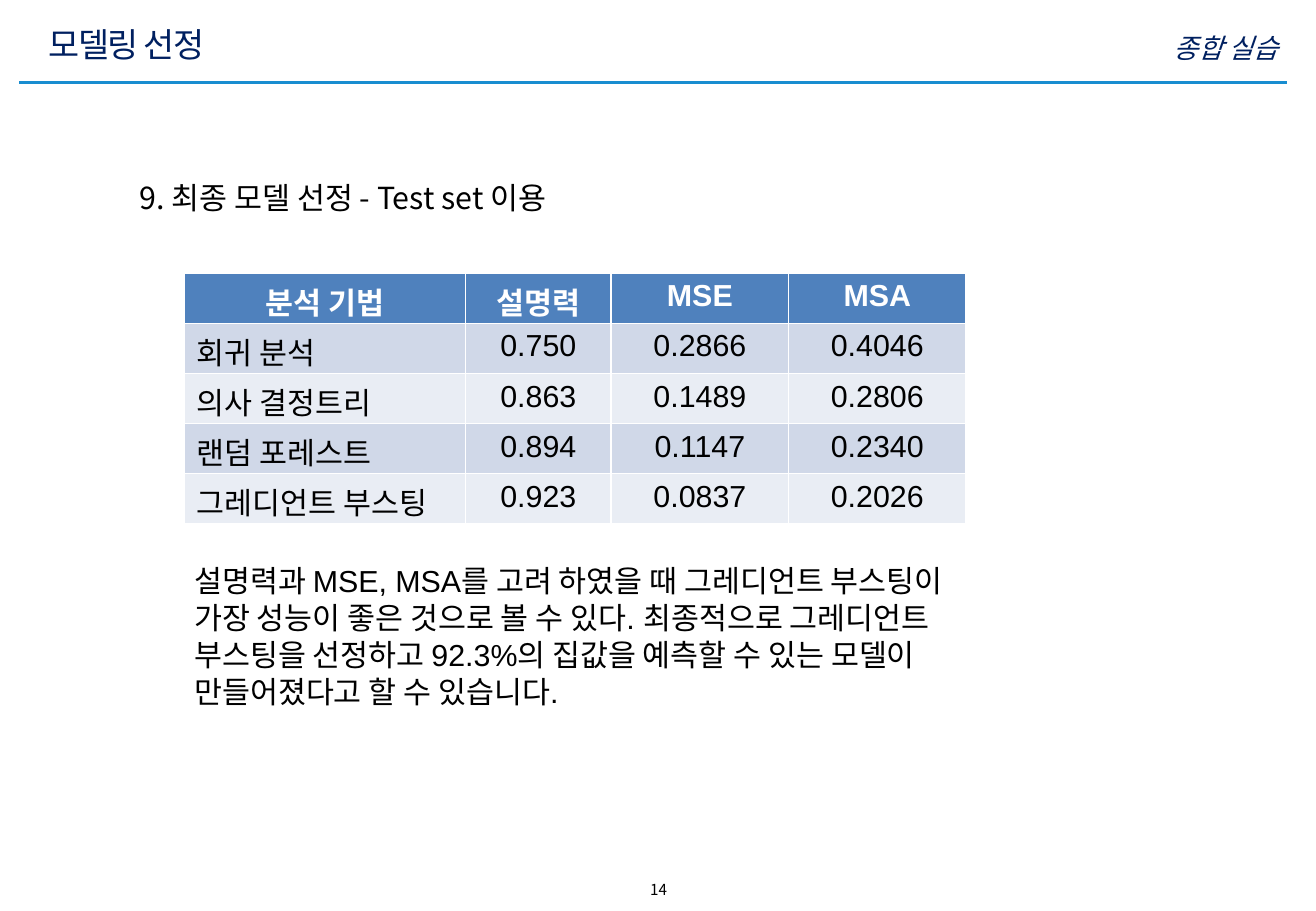
from dataclasses import dataclass

from lxml.etree import SubElement
from pptx import Presentation
from pptx.dml.color import RGBColor
from pptx.enum.shapes import MSO_CONNECTOR as Connector
from pptx.enum.text import MSO_ANCHOR as Anchor, MSO_AUTO_SIZE as AutoSize, PP_ALIGN as Align
from pptx.oxml.ns import qn
from pptx.util import Pt

PX = 9144  # EMU per px, 100 px to the inch


@dataclass(frozen=True)
class Theme:
    latin: str = "Arial"
    korean: str = "Noto Sans CJK KR"
    navy: str = "002060"
    rule: str = "188DD0"
    black: str = "000000"
    white: str = "FFFFFF"
    header_fill: str = "4F81BD"
    bands: tuple = ("D0D8E8", "E9EDF4")
    title_size: int = 20
    body_size: int = 18
    section_size: int = 16
    number_size: int = 9


theme = Theme()


def px(*lengths):
    return [length * PX for length in lengths]


def write(frame, text, size=theme.body_size, font=theme.korean, color=theme.black,
          align=Align.LEFT, anchor=Anchor.TOP, bold=False, italic=False,
          line_spacing=1.0, tracking=0):
    """Fill a text frame with one formatted paragraph; tracking is in 1/100 pt."""
    frame.word_wrap = True
    frame.auto_size = AutoSize.NONE
    frame.vertical_anchor = anchor
    paragraph = frame.paragraphs[0]
    paragraph.alignment = align
    paragraph.line_spacing = line_spacing
    run = paragraph.add_run()
    run.text = text
    run.font.size = Pt(size)
    run.font.name = font
    run.font.bold = bold
    run.font.italic = italic
    run.font.color.rgb = RGBColor.from_string(color)
    properties = run.font._element
    properties.set("spc", str(tracking))
    SubElement(properties, qn("a:ea")).set("typeface", theme.korean)


prs = Presentation()
prs.slide_width, prs.slide_height = px(1083, 750)
slide = prs.slides.add_slide(prs.slide_layouts[5])
shapes = slide.shapes

# Header
header_rule = shapes.add_connector(Connector.STRAIGHT, *px(16, 68, 1059, 68))
header_rule.line.color.rgb = RGBColor.from_string(theme.rule)
header_rule.line.width = Pt(2)
SubElement(header_rule._element.spPr, qn("a:effectLst"))

title = shapes.title
title.left, title.top, title.width, title.height = px(30, 15, 851, 43)
write(title.text_frame, "모델링 선정", size=theme.title_size, font=theme.latin,
      color=theme.navy, anchor=Anchor.MIDDLE, tracking=-90)

# Section name, heading, conclusion and page number
conclusion = (
    "설명력과 MSE, MSA를 고려 하였을 때 그레디언트 부스팅이 가장 성능이 좋은 것으로 볼 수 있다. "
    "최종적으로 그레디언트 부스팅을 선정하고 92.3%의 집값을 예측할 수 있는 모델이 "
    "만들어졌다고 할 수 있습니다."
)
passages = [
    ((655, 24, 407, 30), "종합 실습",
     dict(size=theme.section_size, color=theme.navy, align=Align.RIGHT,
          italic=True, line_spacing=0.9)),
    ((105, 146, 678, 46), "9. 최종 모델 선정 - Test set 이용", dict(line_spacing=0.9)),
    ((150, 458, 665, 131), conclusion, dict(font=theme.latin, line_spacing=Pt(21.8))),
    ((439, 720, 206, 25), "14",
     dict(size=theme.number_size, align=Align.CENTER, anchor=Anchor.MIDDLE)),
]
for place, text, style in passages:
    write(shapes.add_textbox(*px(*place)).text_frame, text, **style)

# Model comparison
scores = [
    ("분석 기법", "설명력", "MSE", "MSA"),
    ("회귀 분석", "0.750", "0.2866", "0.4046"),
    ("의사 결정트리", "0.863", "0.1489", "0.2806"),
    ("랜덤 포레스트", "0.894", "0.1147", "0.2340"),
    ("그레디언트 부스팅", "0.923", "0.0837", "0.2026"),
]
column_widths = px(231, 120, 146, 146)
row_height = 41 * PX
comparison = shapes.add_table(len(scores), len(column_widths), *px(152, 225),
                              sum(column_widths), row_height * len(scores)).table
for column, width in zip(comparison.columns, column_widths):
    column.width = width

for r, row in enumerate(scores):
    is_header = r == 0
    fill = theme.header_fill if is_header else theme.bands[(r - 1) % 2]
    for c, text in enumerate(row):
        cell = comparison.cell(r, c)
        cell.margin_bottom = 0
        cell.fill.solid()
        cell.fill.fore_color.rgb = RGBColor.from_string(fill)
        write(cell.text_frame, text, font=theme.latin, bold=is_header,
              color=theme.white if is_header else theme.black,
              align=Align.CENTER if is_header or c else Align.LEFT)

prs.save("out.pptx")
